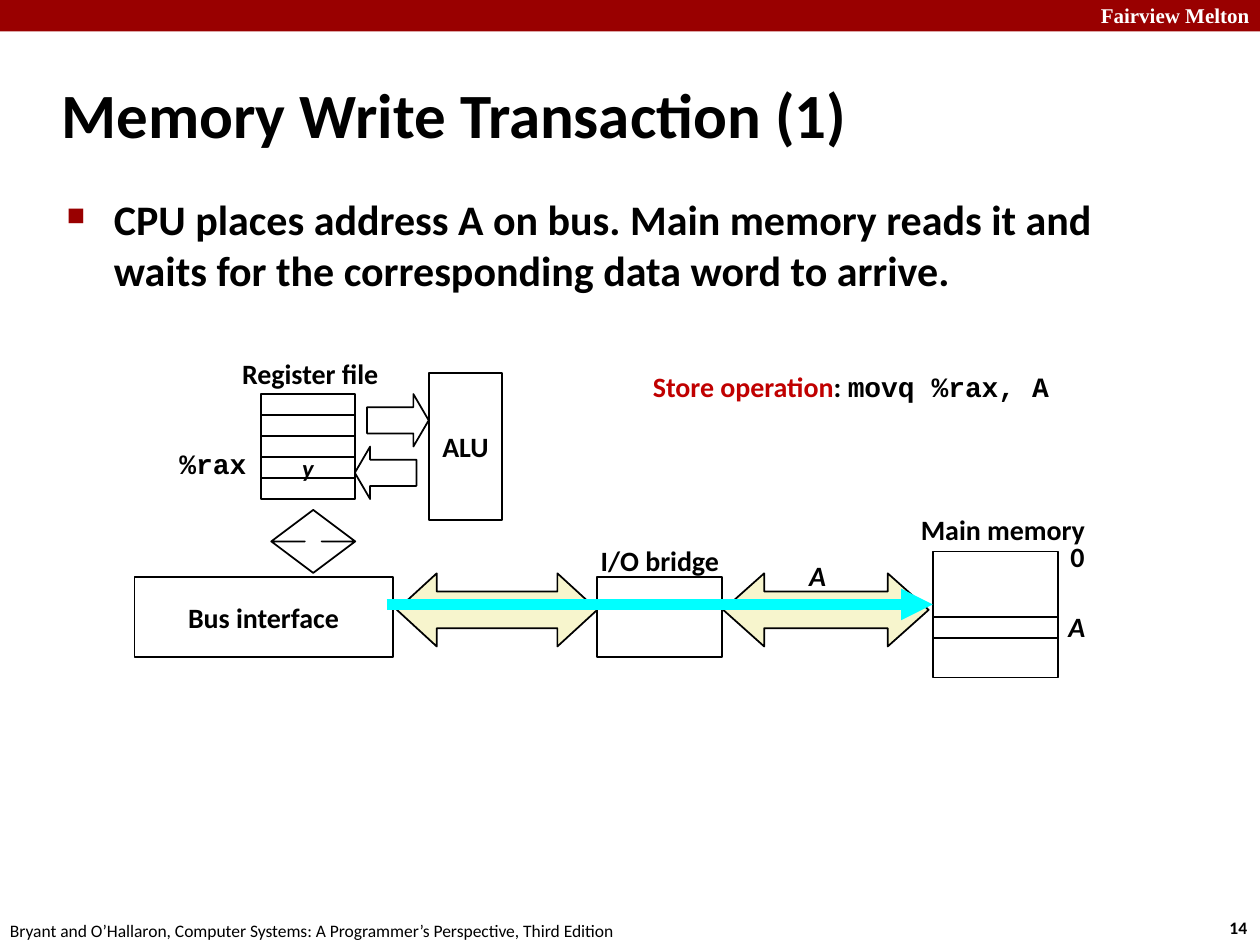
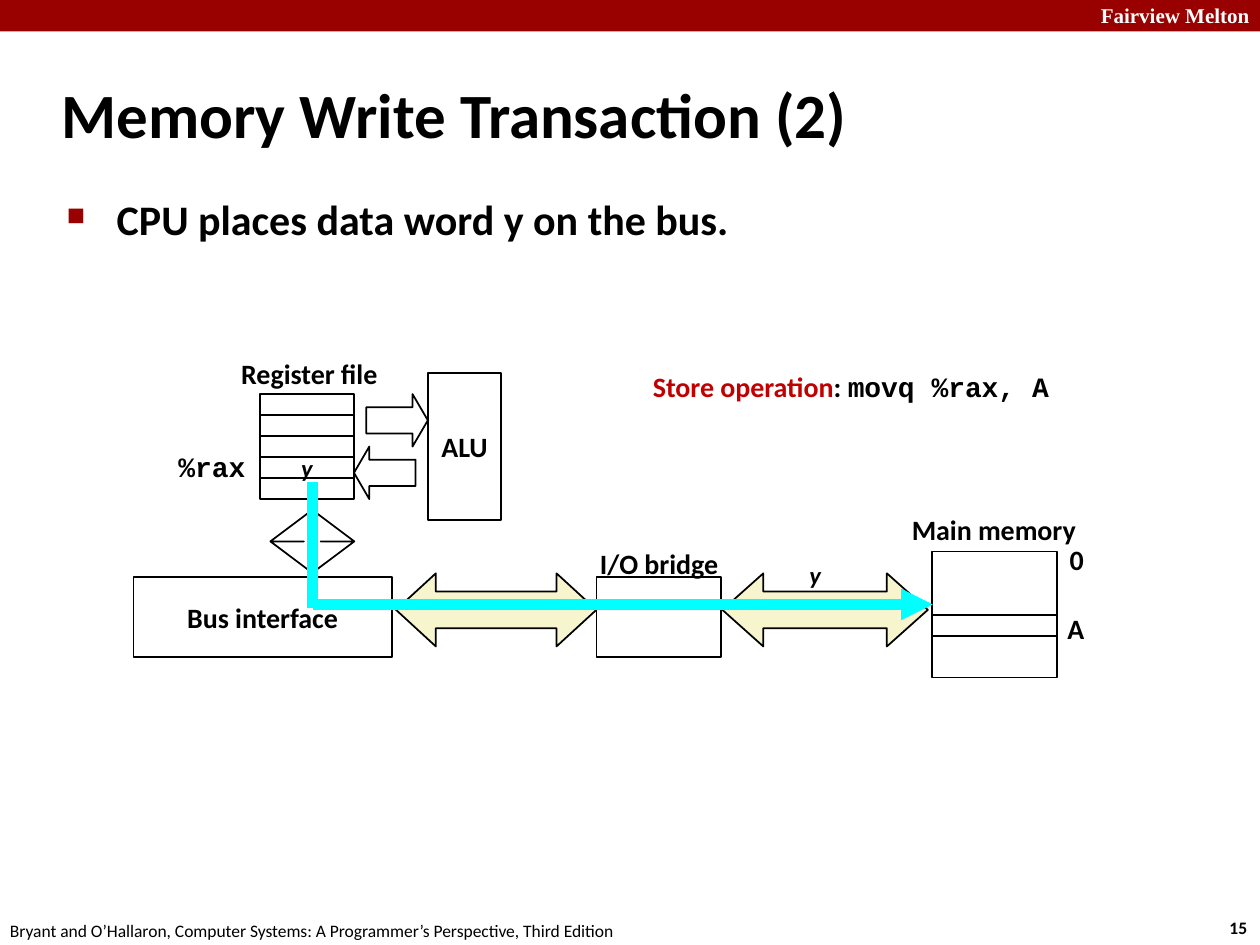
from dataclasses import dataclass

from lxml import etree
from pptx import Presentation
from pptx import util as u
from pptx.dml import color
from pptx.enum import shapes, text
from pptx.oxml import ns

KIND = shapes.MSO_SHAPE
ALIGN = text.PP_ALIGN
ANCHOR = text.MSO_ANCHOR


@dataclass(frozen=True)
class Theme:
    band: str = "990000"
    accent: str = "C00000"
    ink: str = "000000"
    paper: str = "FFFFFF"
    bus: str = "F7F5CD"
    signal: str = "00FFFF"
    sans: str = "Calibri"
    mono: str = "Courier New"
    serif: str = "Times New Roman"
    title: float = 36
    body: float = 24
    label: float = 16
    small: float = 14
    brand: float = 12
    footer: float = 10
    outline: float = 1
    signal_width: float = 6


THEME = Theme()


@dataclass(frozen=True)
class Frame:
    left: float
    top: float
    width: float
    height: float

    def moved(self, right: float = 0, down: float = 0) -> "Frame":
        return Frame(self.left + right, self.top + down, self.width, self.height)

    def lengths(self) -> list:
        return [u.Pt(value) for value in (self.left, self.top, self.width, self.height)]


@dataclass(frozen=True)
class Part:
    kind: int
    frame: Frame
    fill: str | None = None
    adjust: tuple[float, ...] = ()
    label: str = ""
    size: float = THEME.label
    italic: bool = False


@dataclass(frozen=True)
class Label:
    words: str
    frame: Frame
    font: str = THEME.sans
    align: int = ALIGN.CENTER
    drops: bool = True


@dataclass(frozen=True)
class Step:
    number: int
    page_number: int
    statement: str
    indent: float
    signal: str
    signal_frame: Frame
    signal_size: float
    route: tuple[tuple[float, float, float, float], ...]
    address_italic: bool
    address_top: float
    shift: float = 0
    label_drop: float = 0
    memory_label_shift: float = 0


REGISTER = Frame(149, 225.2, 53.8, 12)
REGISTER_COUNT = 5
RAX_ROW = 3
MEMORY = Frame(533.2, 315.2, 71.4, 72)

PARTS = [
    Part(KIND.LEFT_RIGHT_ARROW, Frame(413.3, 327.6, 117.4, 41.8), THEME.bus, (0.5, 0.56)),
    Part(KIND.RECTANGLE, Frame(341.3, 329.8, 71.4, 45.6)),
    Part(KIND.LEFT_RIGHT_ARROW, Frame(226.8, 327.6, 114.5, 41.8), THEME.bus, (0.5, 0.545)),
    *(
        Part(KIND.RECTANGLE, REGISTER.moved(down=row * REGISTER.height),
             label="y" if row == RAX_ROW else "", size=THEME.small, italic=True)
        for row in range(REGISTER_COUNT)
    ),
    Part(KIND.RIGHT_ARROW, Frame(209.8, 225.2, 35.2, 30), adjust=(0.5, 0.292)),
    Part(KIND.LEFT_ARROW, Frame(202.8, 255.2, 35.2, 30), adjust=(0.5, 0.292)),
    Part(KIND.RECTANGLE, Frame(245, 213.2, 42, 84), label="ALU"),
    Part(KIND.UP_DOWN_ARROW, Frame(155, 291.4, 48, 36), adjust=(0.5, 0.2)),
    Part(KIND.RECTANGLE, Frame(76.8, 329.8, 147.6, 45.6), THEME.paper, label="Bus interface"),
    Part(KIND.RECTANGLE, MEMORY),
]

MAIN_MEMORY = Label("Main memory", Frame(518.4, 288.9, 109.4, 26.6), drops=False)
LABELS = [
    Label("Register file", Frame(130.5, 200.2, 93.6, 26.6), drops=False),
    Label("0", Frame(604.6, 304.8, 23, 26.6), align=ALIGN.LEFT),
    Label("%rax", Frame(95, 251.6, 53.3, 26.6), font=THEME.mono),
    Label("I/O bridge", Frame(335.7, 307, 82.8, 26.6)),
]
ADDRESS_LABEL = Frame(603.4, 344.4, 24.5, 26.6)

BUS_LEVEL = 345.4
STEPS = [
    Step(1, 14,
         "CPU places address A on bus. Main memory reads it and waits for the "
         "corresponding data word to arrive.",
         27, "A", Frame(455, 315.4, 24.5, 26.6), THEME.label,
         ((221, BUS_LEVEL, 533, BUS_LEVEL),), True, 352.6),
    Step(2, 15, "CPU places data word y on the bus.",
         28.6, "y", Frame(455.3, 316.2, 20.9, 24.5), THEME.small,
         ((178.6, 275.6, 178.6, 347.6), (178.6, BUS_LEVEL, 533, BUS_LEVEL)), False, 351.4,
         shift=-0.5, label_drop=1.4, memory_label_shift=-4.7),
]


def rgb(value: str) -> color.RGBColor:
    return color.RGBColor.from_string(value)


def add_span(para, words: str, *, size: float, font: str = THEME.sans, ink: str = THEME.ink,
             bold: bool = True, italic: bool = False) -> None:
    span = para.add_run()
    span.text = words
    span.font.size = u.Pt(size)
    span.font.name = font
    span.font.color.rgb = rgb(ink)
    span.font.bold = bold
    span.font.italic = italic


def add_text(page, words: str, frame: Frame, *, size: float = THEME.label,
             align: int = ALIGN.LEFT, anchor: int = ANCHOR.TOP, wrap: bool = False, **style):
    box = page.shapes.add_textbox(*frame.lengths()).text_frame
    box.word_wrap = wrap
    box.vertical_anchor = anchor
    para = box.paragraphs[0]
    para.alignment = align
    add_span(para, words, size=size, **style)
    return para


def add_part(page, part: Part, shift: float = 0, outlined: bool = True) -> None:
    shape = page.shapes.add_shape(part.kind, *part.frame.moved(shift).lengths())
    shape.shadow.inherit = False
    for index, value in enumerate(part.adjust):
        shape.adjustments[index] = value
    if part.fill:
        shape.fill.solid()
        shape.fill.fore_color.rgb = rgb(part.fill)
    else:
        shape.fill.background()
    if outlined:
        shape.line.color.rgb = rgb(THEME.ink)
        shape.line.width = u.Pt(THEME.outline)
    else:
        shape.line.fill.background()
    if part.label:
        box = shape.text_frame
        box.word_wrap = False
        box.vertical_anchor = ANCHOR.MIDDLE
        box.paragraphs[0].alignment = ALIGN.CENTER
        add_span(box.paragraphs[0], part.label, size=part.size, italic=part.italic)


def add_signal(page, ends: tuple[float, float, float, float], arrow: bool) -> None:
    line = page.shapes.add_connector(shapes.MSO_CONNECTOR.STRAIGHT, *map(u.Pt, ends))
    line.line.color.rgb = rgb(THEME.signal)
    line.line.width = u.Pt(THEME.signal_width)
    if arrow:
        etree.SubElement(line.line._get_or_add_ln(), ns.qn("a:tailEnd"), type="triangle")
    etree.SubElement(line._element.spPr, ns.qn("a:effectLst"))


def add_bullet(para, indent: float) -> None:
    settings = para._p.get_or_add_pPr()
    settings.set("marL", str(u.Pt(indent)))
    settings.set("indent", str(-u.Pt(indent)))
    before = etree.SubElement(settings, ns.qn("a:spcBef"))
    etree.SubElement(before, ns.qn("a:spcPct"), val="20000")
    tint = etree.SubElement(settings, ns.qn("a:buClr"))
    etree.SubElement(tint, ns.qn("a:srgbClr"), val=THEME.band)
    etree.SubElement(settings, ns.qn("a:buSzPct"), val="60000")
    etree.SubElement(settings, ns.qn("a:buChar"), char="■")


def add_page_frame(page, step: Step) -> None:
    add_part(page, Part(KIND.RECTANGLE, Frame(0, 0, 720, 18), THEME.band), outlined=False)
    add_text(page, "Fairview Melton", Frame(622, -2.2, 103, 21.6), size=THEME.brand,
             font=THEME.serif, ink=THEME.paper, wrap=True)
    add_text(page, str(step.page_number), Frame(695.5, 520.6, 26.6, 19.4), size=THEME.footer)
    add_text(page, "Bryant and O’Hallaron, Computer Systems: A Programmer’s Perspective, "
             "Third Edition", Frame(-1.4, 522, 365.8, 19.4), size=THEME.footer, bold=False)
    add_text(page, f"Memory Write Transaction ({step.number})", Frame(28, 34.6, 597.6, 59.8),
             size=THEME.title, anchor=ANCHOR.MIDDLE, wrap=True)
    para = add_text(page, step.statement, Frame(31, 107.3, 622, 391.7),
                    size=THEME.body, wrap=True)
    add_bullet(para, step.indent)


def add_label(page, label: Label, right: float, down: float) -> None:
    add_text(page, label.words, label.frame.moved(right, down if label.drops else 0),
             font=label.font, align=label.align, anchor=ANCHOR.MIDDLE)


def add_diagram(page, step: Step) -> None:
    for part in PARTS:
        add_part(page, part, step.shift)
    for ends in step.route:
        add_signal(page, ends, arrow=ends is step.route[-1])
    add_text(page, step.signal, step.signal_frame, size=step.signal_size,
             align=ALIGN.CENTER, anchor=ANCHOR.MIDDLE, italic=True)
    address = Frame(MEMORY.left, step.address_top, MEMORY.width, 12)
    add_part(page, Part(KIND.RECTANGLE, address), step.shift)
    for label in LABELS:
        add_label(page, label, step.shift, step.label_drop)
    add_label(page, MAIN_MEMORY, step.shift + step.memory_label_shift, 0)
    add_text(page, "A", ADDRESS_LABEL.moved(step.shift, step.label_drop),
             anchor=ANCHOR.MIDDLE, italic=step.address_italic)
    para = add_text(page, "Store operation", Frame(366, 207.4, 244, 46), ink=THEME.accent)
    add_span(para, ": ", size=THEME.label)
    add_span(para, "movq %rax, A", size=THEME.label, font=THEME.mono)


def main() -> None:
    deck = Presentation()
    deck.slide_width, deck.slide_height = u.Pt(720), u.Pt(540)
    for step in STEPS:
        page = deck.slides.add_slide(deck.slide_layouts[6])
        add_page_frame(page, step)
        add_diagram(page, step)
    deck.save("out.pptx")


if __name__ == "__main__":
    main()
